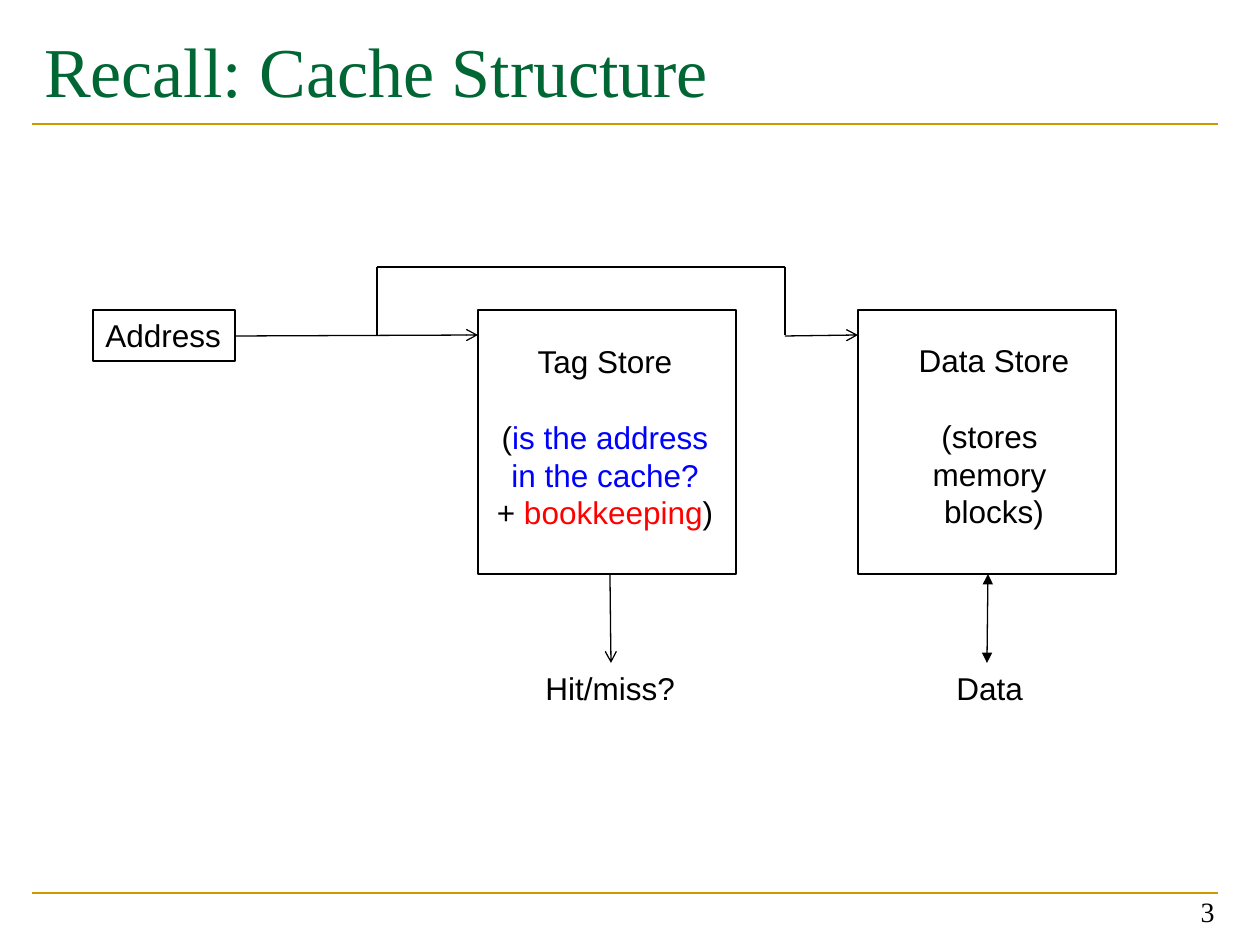
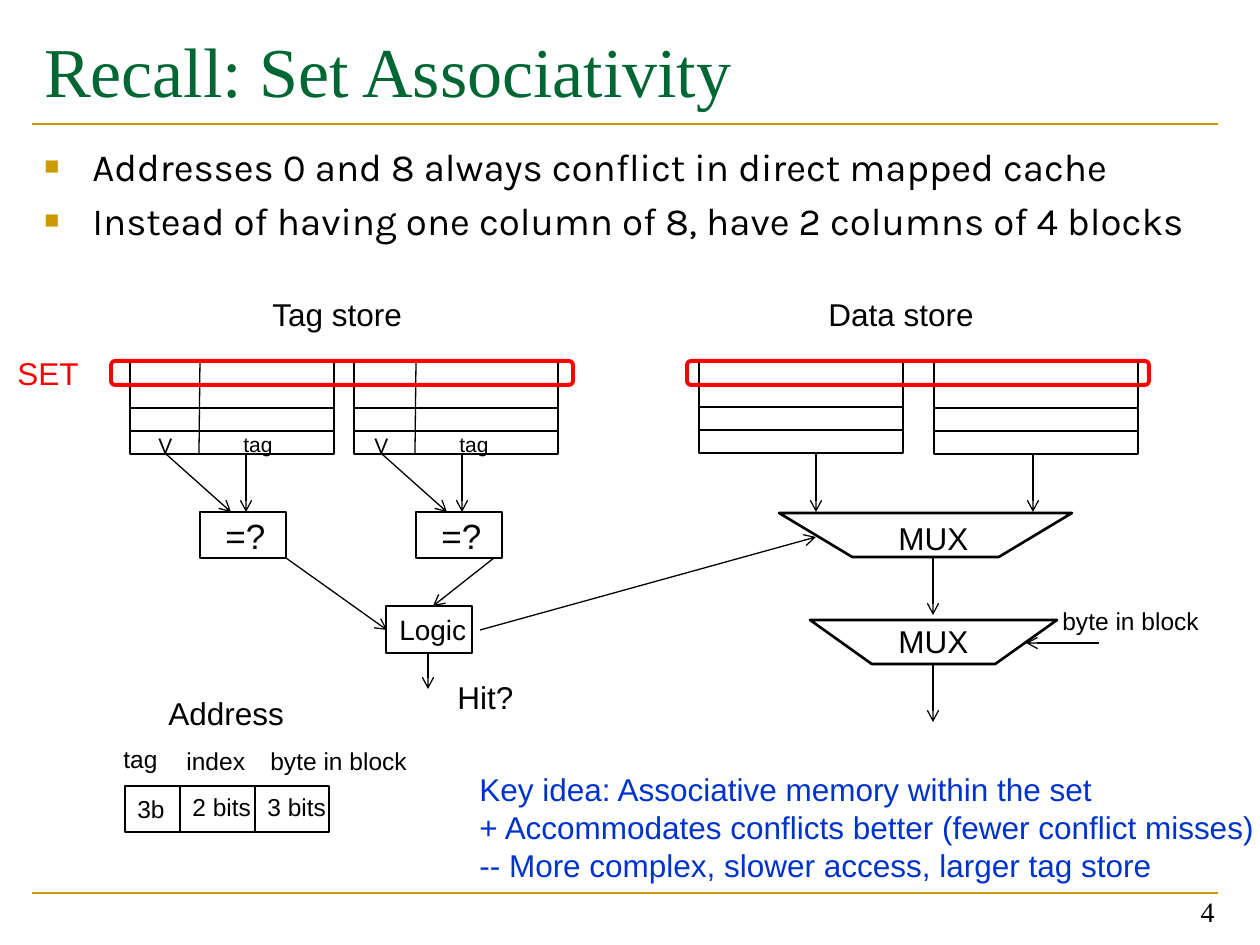
from lxml import etree
from pptx import Presentation
from pptx import util as u
from pptx.dml.color import RGBColor
from pptx.enum import shapes, text
from pptx.oxml.ns import qn

PX = 914400 / 126
COLORS = {"ink": "000000", "title": "006633", "gold": "CC9900", "red": "FF0000",
          "blue": "0000FF", "key": "0033CC"}
SANS, SERIF, BODY = "Arial", "Times New Roman", "Karla"
ALIGN, ANCHOR, SHAPE = text.PP_ALIGN, text.MSO_ANCHOR, shapes.MSO_SHAPE


def emu(px):
    return u.Emu(round(px * PX))


def rgb(name):
    return RGBColor.from_string(COLORS[name])


def add_bullet(paragraph):
    properties = paragraph._p.get_or_add_pPr()
    properties.set("marL", str(emu(48)))
    properties.set("indent", str(-emu(48)))
    color = etree.SubElement(properties, qn("a:buClr"))
    etree.SubElement(color, qn("a:srgbClr"), val=COLORS["gold"])
    etree.SubElement(properties, qn("a:buSzPct"), val="65000")
    etree.SubElement(properties, qn("a:buFont"), typeface=SANS)
    etree.SubElement(properties, qn("a:buChar"), char="■")


def add_text(slide, lines, box, size=18, font=SANS, color="ink", align=ALIGN.LEFT,
             anchor=ANCHOR.TOP, wrap=False, bullets=False, spacing=None):
    """Each line is a string or a list of (string, color); spacing maps line to points."""
    frame = slide.shapes.add_textbox(*map(emu, box)).text_frame
    frame.word_wrap = wrap
    frame.vertical_anchor = anchor
    for index, line in enumerate(lines):
        paragraph = frame.paragraphs[0] if index == 0 else frame.add_paragraph()
        paragraph.alignment = align
        if spacing and index in spacing:
            paragraph.space_before = u.Pt(spacing[index])
        if bullets:
            add_bullet(paragraph)
        for content, run_color in [(line, color)] if isinstance(line, str) else line:
            run = paragraph.add_run()
            run.text = content
            run.font.size, run.font.name = u.Pt(size), font
            run.font.color.rgb = rgb(run_color)


def add_label(slide, content, x, y, width, size=18, color="ink"):
    add_text(slide, [content], (x, y, width, round(size * 2.1 + 12.6)), size, color=color)


def outline(shape, color="ink", weight=0.75):
    shape.shadow.inherit = False
    shape.fill.background()
    shape.line.color.rgb = rgb(color)
    shape.line.width = u.Pt(weight)


def add_box(slide, x, y, width, height):
    outline(slide.shapes.add_shape(SHAPE.RECTANGLE, *map(emu, (x, y, width, height))))


def add_line(slide, x1, y1, x2, y2, color="ink", weight=0.75, head=None, tail=None):
    connector = slide.shapes.add_connector(
        shapes.MSO_CONNECTOR.STRAIGHT, *map(emu, (x1, y1, x2, y2)))
    connector.line.color.rgb = rgb(color)
    connector.line.width = u.Pt(weight)
    properties = connector._element.spPr
    line = properties.find(qn("a:ln"))
    for end, kind in (("a:headEnd", head), ("a:tailEnd", tail)):
        if kind:
            etree.SubElement(line, qn(end), type=kind)
    etree.SubElement(properties, qn("a:effectLst"))


def add_arrow(slide, x1, y1, x2, y2):
    add_line(slide, x1, y1, x2, y2, tail="arrow")


def add_frame(presentation, title, number):
    """New slide with title, gold rules and page number."""
    slide = presentation.slides.add_slide(presentation.slide_layouts[6])
    for y in (893, 124):
        add_line(slide, 32, y, 1218, y, color="gold", weight=1.5)
    add_text(slide, [title], (32, 21, 1187, 147), 40, SERIF, "title", wrap=True)
    add_text(slide, [str(number)], (934, 871, 293, 63), 16, SERIF, align=ALIGN.RIGHT,
             anchor=ANCHOR.BOTTOM, wrap=True)
    return slide


# Slide 1: cache structure

def add_store(slide, x, y, lines, text_box, wrap):
    add_box(slide, x, y, 258, 264)
    dx, dy, width, height = text_box
    add_text(slide, lines, (x + dx, y + dy, width, height), align=ALIGN.CENTER,
             wrap=wrap, spacing={1: 21.6})


def build_cache_structure(presentation):
    slide = add_frame(presentation, "Recall: Cache Structure", 3)
    add_box(slide, 93, 310, 142, 51)
    add_label(slide, "Address", 93, 310, 142)
    add_store(slide, 478, 310, [
        "Tag Store",
        [("(", "ink"), ("is the address", "blue")],
        [("in the cache?", "blue")],
        [("+ ", "ink"), ("bookkeeping", "red"), (")", "ink")],
    ], (-4, 26, 262, 318), wrap=True)
    add_store(slide, 858, 310, ["Data Store", "(stores ", "memory ", "blocks)"],
              (47, 25, 178, 204), wrap=False)

    # Address reaches both stores
    add_arrow(slide, 235, 336, 478, 335)
    bypass = [(377, 335), (377, 267), (785, 267), (785, 335)]
    for start, end in zip(bypass, bypass[1:]):
        add_line(slide, *start, *end)
    add_arrow(slide, 785, 336, 858, 335)

    # Results
    add_arrow(slide, 610, 574, 611, 663)
    add_label(slide, "Hit/miss?", 533, 663, 156)
    add_line(slide, 988, 574, 987, 663, head="triangle", tail="triangle")
    add_label(slide, "Data", 944, 663, 93)


# Slide 2: set associativity

def add_way(slide, x, y):
    for row in range(4):
        add_box(slide, x, y + 23 * row, 204, 23)


def add_comparator(slide, x, y):
    """Comparator below a tag way, with the way's divider and its V and tag fields."""
    add_line(slide, x, y - 150, x - 1, y - 57)
    add_label(slide, "V", x - 54, y - 86, 39, 12)
    add_label(slide, "tag", x + 31, y - 87, 55, 12)
    add_arrow(slide, x - 34, y - 58, x + 31, y)
    add_arrow(slide, x + 46, y - 58, x + 46, y)
    add_box(slide, x, y, 86, 46)
    add_label(slide, "=?", x + 13, y - 4, 66, 20)


def add_mux(slide, x, y, width, label_y):
    height, slant = 44, width / 4
    corners = [(x + width - slant, y + height), (x + slant, y + height), (x, y)]
    builder = slide.shapes.build_freeform(emu(x + width), emu(y), scale=1.0)
    builder.add_line_segments([(emu(px), emu(py)) for px, py in corners], close=True)
    outline(builder.convert_to_shape(), weight=1.5)
    middle = 933
    add_label(slide, "MUX", middle - 47, label_y, 96)
    add_arrow(slide, middle, y + height + 1, middle, y + height + 58)


def add_address_fields(slide, x, y):
    add_label(slide, "Address", x + 31, y - 98, 142)
    add_box(slide, x, y, 204, 46)
    for divider in (55, 130):
        add_line(slide, x + divider, y, x + divider, y + 46)
    for content, dx, dy, width in (
            ("tag", -14, -48, 59), ("index", 49, -46, 84), ("byte in block", 133, -46, 163),
            ("3b", 0, 2, 53), ("2 bits", 55, 0, 84), ("3 bits", 130, 0, 84)):
        add_label(slide, content, x + dx, y + dy, width, 14)


def add_set_outline(slide, x, y):
    shape = slide.shapes.add_shape(SHAPE.ROUNDED_RECTANGLE, *map(emu, (x, y, 462, 24)))
    shape.adjustments[0] = 0.17
    outline(shape, "red", 2.25)


def build_set_associativity(presentation):
    slide = add_frame(presentation, "Recall: Set Associativity", 4)
    add_text(slide, ["Addresses 0 and 8 always conflict in direct mapped cache",
                     "Instead of having one column of 8, have 2 columns of 4 blocks"],
             (32, 137, 1187, 716), 22, BODY, wrap=True, bullets=True,
             spacing={0: 4.4, 1: 4.4})

    # Stores
    add_label(slide, "Tag store", 260, 289, 156)
    add_label(slide, "Data store", 816, 289, 171)
    for x, y in ((130, 362), (354, 362), (699, 361), (934, 362)):
        add_way(slide, x, y)
    for x in (200, 416):
        add_comparator(slide, x, 512)

    # Hit logic
    add_box(slide, 386, 606, 86, 47)
    add_text(slide, ["Logic"], (387, 606, 93, 47), 16, wrap=True)
    add_arrow(slide, 286, 558, 387, 630)
    add_arrow(slide, 494, 558, 433, 606)
    add_arrow(slide, 428, 653, 428, 689)
    add_label(slide, "Hit?", 445, 672, 82)

    # Data selection
    for x in (816, 1033):
        add_arrow(slide, x, 454, x, 512)
    add_mux(slide, 779, 513, 293, 513)
    add_mux(slide, 810, 620, 247, 616)
    add_arrow(slide, 480, 630, 816, 537)
    add_arrow(slide, 1099, 643, 1026, 643)
    add_label(slide, "byte in block", 1050, 600, 163, 14)

    add_address_fields(slide, 125, 786)
    add_text(slide, ["Key idea: Associative memory within the set",
                     "+ Accommodates conflicts better (fewer conflict misses)",
                     "-- More complex, slower access, larger tag store"],
             (467, 764, 808, 165), color="key")

    # Highlighted set
    for x in (111, 687):
        add_set_outline(slide, x, 361)
    add_label(slide, "SET", 5, 348, 87, color="red")


def main():
    presentation = Presentation()
    presentation.slide_width, presentation.slide_height = emu(1260), emu(945)
    build_cache_structure(presentation)
    build_set_associativity(presentation)
    presentation.save("out.pptx")


if __name__ == "__main__":
    main()
